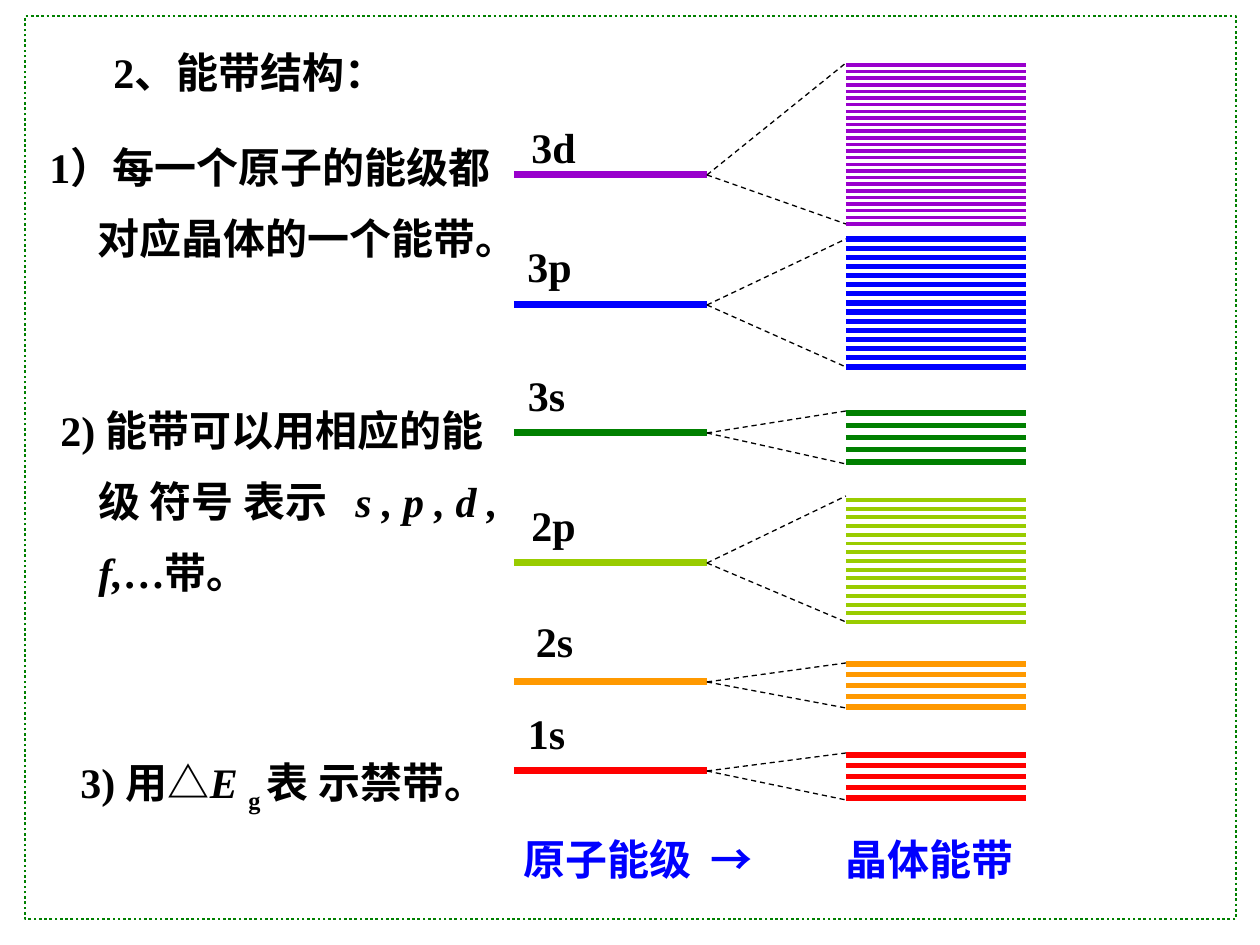
from dataclasses import dataclass

from lxml.etree import SubElement
from pptx import Presentation
from pptx.dml.color import RGBColor
from pptx.enum.dml import MSO_LINE_DASH_STYLE as Dash
from pptx.enum.shapes import MSO_CONNECTOR, MSO_SHAPE
from pptx.enum.text import MSO_ANCHOR, MSO_AUTO_SIZE, PP_ALIGN
from pptx.oxml.ns import qn
from pptx.util import Pt

PX = 914400 // 126


@dataclass(frozen=True)
class Theme:
    font: str = "Times New Roman"
    size: int = 24
    gap: int = 12
    ink: str = "000000"
    caption: str = "0000FF"
    frame: str = "008000"
    frame_width: float = 1.5
    level_width: float = 4
    fan_width: float = 0.75


THEME = Theme()
FRAME = (25, 16, 1211, 903)
LEVEL_X = (514, 707)
BAND_X = (846, 1026)

# Each paragraph is a list of (text, style) runs
NOTES = [
    dict(at=(101, 40, 431, 64), paragraphs=[[("2、能带结构：", "")]]),
    dict(at=(37, 135, 609, 140), tabs=(48,), paragraphs=[
        [("1）每一个原子的能级都", "")],
        [("\t对应晶体的一个能带。", "")],
    ]),
    dict(at=(48, 398, 494, 217), tabs=(38, 295), align=PP_ALIGN.JUSTIFY, paragraphs=[
        [("2) 能带可以用相应的能", "")],
        [("\t级 符号 表示\t", ""), ("s , p , d ,", "italic")],
        [("\tf,", "italic"), ("…带。", "")],
    ]),
    dict(at=(68, 745, 462, 91), align=PP_ALIGN.JUSTIFY, spacing=1.1, paragraphs=[
        [("3) 用△", ""), ("E ", "italic"), ("g ", "sub"), ("表 示禁带。", "")],
    ]),
]

# name, label box, level y, band (top, bottom, lines), fan (top, bottom), colour, band line width
LEVELS = [
    ("3d", (519, 115, 69, 63), 175, (65, 224, 25), (63, 224), "9900CC", 2),
    ("3p", (515, 234, 69, 63), 305, (239, 367, 15), (239, 367), "0000FF", 3),
    ("3s", (515, 363, 63, 63), 433, (413, 462, 5), (411, 464), "008000", 3),
    ("2p", (519, 493, 69, 63), 563, (500, 622, 15), (496, 622), "99CC00", 2.25),
    ("2s", (523, 609, 63, 64), 682, (664, 707, 5), (663, 708), "FF9900", 3),
    ("1s", (515, 701, 63, 63), 771, (755, 798, 5), (753, 800), "FF0000", 3),
]

CAPTIONS = [
    dict(at=(459, 827, 359, 64), tabs=(52, 239), paragraphs=[[("\t原子能级\t→", "")]]),
    dict(at=(833, 827, 193, 63), align=PP_ALIGN.CENTER, wrap=False,
         paragraphs=[[("晶体能带", "")]]),
]


def add_text(slide, paragraphs, at, align=PP_ALIGN.LEFT, anchor=MSO_ANCHOR.TOP,
             wrap=True, tabs=(), spacing=None, color=THEME.ink):
    box = slide.shapes.add_textbox(*(v * PX for v in at))
    frame = box.text_frame
    frame.word_wrap = wrap
    frame.auto_size = MSO_AUTO_SIZE.SHAPE_TO_FIT_TEXT
    frame.vertical_anchor = anchor
    if not wrap:
        frame.margin_left = frame.margin_right = 0
    for index, runs in enumerate(paragraphs):
        para = frame.add_paragraph() if index else frame.paragraphs[0]
        if tabs:
            stops = SubElement(para._p.get_or_add_pPr(), qn("a:tabLst"))
            for stop in tabs:
                SubElement(stops, qn("a:tab"), pos=str(stop * PX), algn="l")
        para.alignment = align
        if index:
            para.space_before = Pt(THEME.gap)
        if spacing:
            para.line_spacing = spacing
        for text, style in runs:
            span = para.add_run()
            span.text = text
            font = span.font
            font.name, font.size, font.bold = THEME.font, Pt(THEME.size), True
            font.color.rgb = RGBColor.from_string(color)
            if style == "italic":
                font.italic = True
            if style == "sub":
                span._r.get_or_add_rPr().set("baseline", "-25000")


def add_line(slide, start, end, color, width, dash=None):
    line = slide.shapes.add_connector(
        MSO_CONNECTOR.STRAIGHT, *(round(v * PX) for v in (*start, *end)))
    SubElement(line._element.spPr, qn("a:effectLst"))
    line.line.color.rgb = RGBColor.from_string(color)
    line.line.width = Pt(width)
    if dash:
        line.line.dash_style = dash


def add_frame(slide):
    frame = slide.shapes.add_shape(MSO_SHAPE.RECTANGLE, *(v * PX for v in FRAME))
    frame.shadow.inherit = False
    frame.fill.background()
    frame.line.color.rgb = RGBColor.from_string(THEME.frame)
    frame.line.width = Pt(THEME.frame_width)
    frame.line.dash_style = Dash.ROUND_DOT


def add_level(slide, name, label, y, band, fan, color, width):
    """Draw one atomic level, the band it widens into and the fan between them."""
    left, right = LEVEL_X
    band_left, band_right = BAND_X
    top, bottom, count = band
    for index in range(count):
        line_y = top + index * (bottom - top) / (count - 1)
        add_line(slide, (band_left, line_y), (band_right, line_y), color, width)
    add_line(slide, (left, y), (right, y), color, THEME.level_width)
    for end_y in fan:
        add_line(slide, (right, y), (band_left, end_y), THEME.ink, THEME.fan_width, Dash.DASH)
    add_text(slide, [[(name, "")]], label, align=PP_ALIGN.CENTER,
             anchor=MSO_ANCHOR.MIDDLE, wrap=False)


def main():
    deck = Presentation()
    deck.slide_width, deck.slide_height = 1260 * PX, 945 * PX
    slide = deck.slides.add_slide(deck.slide_layouts[6])
    add_frame(slide)
    for note in NOTES:
        add_text(slide, **note)
    for level in LEVELS:
        add_level(slide, *level)
    for caption in CAPTIONS:
        add_text(slide, anchor=MSO_ANCHOR.MIDDLE, color=THEME.caption, **caption)
    deck.save("out.pptx")


if __name__ == "__main__":
    main()
